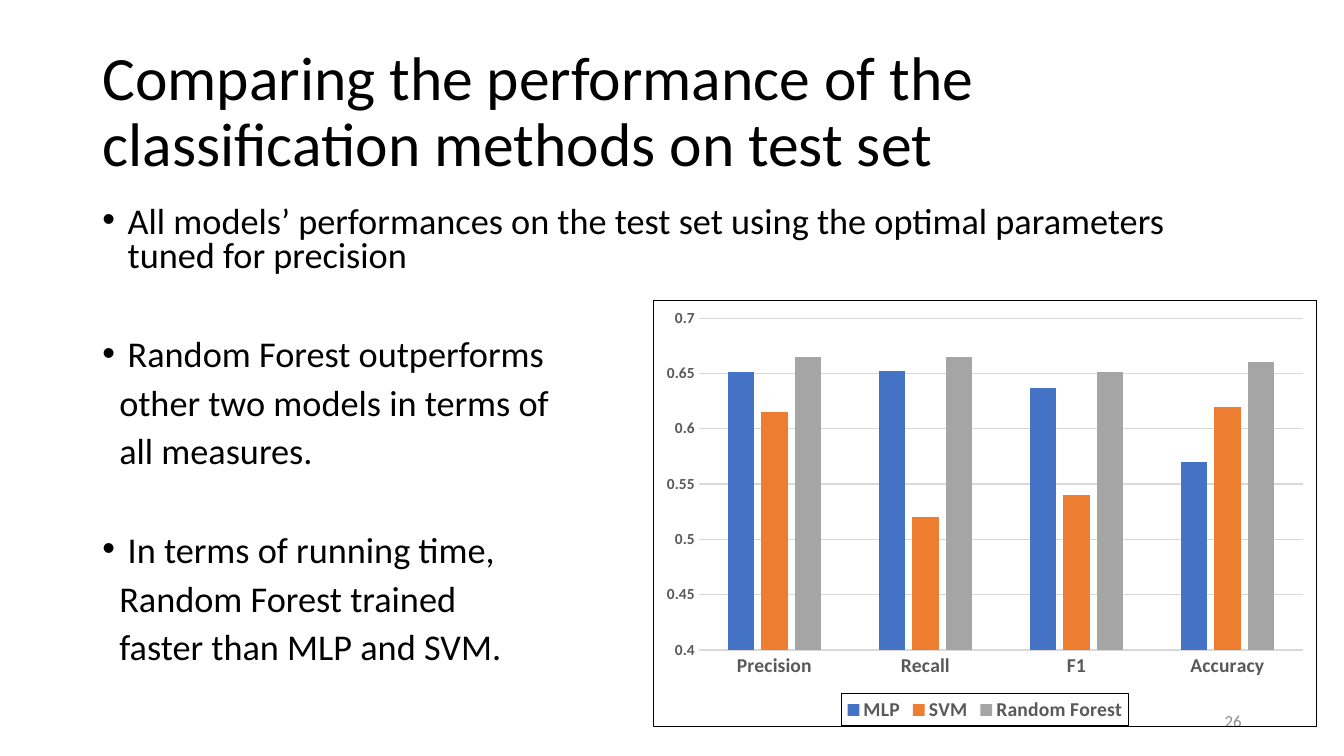
from lxml import etree
from pptx import Presentation
from pptx import util as u
from pptx.chart import data as chart_data
from pptx.dml import color
from pptx.enum import chart as charts, text
from pptx.oxml import ns, parse_xml

COLORS = {"ink": "000000", "muted": "8C8C8C", "label": "595959", "grid": "D9D9D9",
          "MLP": "4472C4", "SVM": "ED7D31", "Random Forest": "A5A5A5"}
FONT = "Calibri"
CATEGORIES = ["Precision", "Recall", "F1", "Accuracy"]
SCORES = {"MLP": [0.651, 0.652, 0.637, 0.57],
          "SVM": [0.615, 0.52, 0.54, 0.62],
          "Random Forest": [0.665, 0.665, 0.651, 0.66]}
TITLE = "Comparing the performance of the classification methods on test set"
POINTS = [
    ["All models’ performances on the test set using the optimal parameters tuned for precision"],
    ["Random Forest outperforms", "other two models in terms of", "all measures."],
    ["In terms of running time,", "Random Forest trained", "faster than MLP and SVM."],
]


def rgb(name):
    return color.RGBColor.from_string(COLORS[name])


def apply(target, values):
    for name, value in values.items():
        setattr(target, name, value)


class SlideBuilder:
    def __init__(self, page):
        self.page = page

    def style_font(self, font, size, tone, bold=False):
        apply(font, {"name": FONT, "size": u.Pt(size), "bold": bold})
        font.color.rgb = rgb(tone)

    def place(self, box, left, top, width, height):
        apply(box, {"left": u.Pt(left), "top": u.Pt(top),
                    "width": u.Pt(width), "height": u.Pt(height)})
        apply(box.text_frame, {"word_wrap": True, "auto_size": text.MSO_AUTO_SIZE.NONE})

    def add_words(self, para, words, size, tone="ink", **layout):
        span = para.add_run()
        span.text = words
        self.style_font(span.font, size, tone)
        apply(para, layout)

    def title(self, words, *area):
        box = self.page.shapes.title
        self.place(box, *area)
        box.text_frame.vertical_anchor = text.MSO_ANCHOR.MIDDLE
        self.add_words(box.text_frame.paragraphs[0], words, 44,
                       alignment=text.PP_ALIGN.LEFT, line_spacing=0.9)

    def bullets(self, points, *area):
        """Each point is a bulleted line followed by unbulleted, indented lines."""
        box = self.page.placeholders[1]
        self.place(box, *area)
        frame = box.text_frame
        for number, lines in enumerate(points):
            for row, words in enumerate(lines):
                first = number == 0 and row == 0
                para = frame.paragraphs[0] if first else frame.add_paragraph()
                gap = 45.3 if number and row == 0 else 10
                self.add_words(para, words, 25.9, line_spacing=0.8, space_before=u.Pt(gap))
                self.indent(para, bulleted=row == 0)

    def indent(self, para, bulleted):
        margin, hanging = (18, -18) if bulleted else (12, 0)
        props = para._p.get_or_add_pPr()
        props.set("marL", str(u.Pt(margin)))
        props.set("indent", str(u.Pt(hanging)))
        if bulleted:
            etree.SubElement(props, ns.qn("a:buFont")).set("typeface", "Arial")
            etree.SubElement(props, ns.qn("a:buChar")).set("char", "•")
        else:
            etree.SubElement(props, ns.qn("a:buNone"))

    def page_number(self, words, *area):
        box = self.page.shapes.add_textbox(*map(u.Pt, area))
        self.place(box, *area)
        box.text_frame.vertical_anchor = text.MSO_ANCHOR.MIDDLE
        self.add_words(box.text_frame.paragraphs[0], words, 12, "muted",
                       alignment=text.PP_ALIGN.RIGHT)

    def outline_after(self, element):
        """Give a chart part an unfilled frame, placed after the given child."""
        element.addnext(parse_xml(
            f'<c:spPr {ns.nsdecls("c", "a")}><a:noFill/><a:ln w="{u.Pt(0.75)}"><a:solidFill>'
            f'<a:srgbClr val="{COLORS["ink"]}"/></a:solidFill></a:ln></c:spPr>'))

    def column_chart(self, categories, scores, *area):
        data = chart_data.CategoryChartData()
        data.categories = categories
        for name, values in scores.items():
            data.add_series(name, values)
        chart = self.page.shapes.add_chart(
            charts.XL_CHART_TYPE.COLUMN_CLUSTERED, *map(u.Pt, area), data).chart
        self.style_font(chart.font, 10, "ink")
        apply(chart, {"has_title": False, "has_legend": True})
        plot = chart.plots[0]
        apply(plot, {"gap_width": 219, "overlap": -27, "vary_by_categories": False})
        for series in plot.series:
            series.format.fill.solid()
            series.format.fill.fore_color.rgb = rgb(series.name)
        self.axes(chart)
        legend = chart.legend
        apply(legend, {"position": charts.XL_LEGEND_POSITION.BOTTOM, "include_in_layout": False})
        self.style_font(legend.font, 14, "label", bold=True)
        self.outline_after(legend._element.find(ns.qn("c:overlay")))
        self.outline_after(chart._chartSpace.find(ns.qn("c:chart")))

    def axes(self, chart):
        scale = chart.value_axis
        apply(scale, {"minimum_scale": 0.4, "maximum_scale": 0.7, "major_unit": 0.05,
                      "has_major_gridlines": True})
        apply(scale.tick_labels, {"number_format": "General", "number_format_is_linked": False})
        scale.format.line.fill.background()
        for axis, size in ((chart.category_axis, 14), (scale, 11)):
            apply(axis, {"major_tick_mark": charts.XL_TICK_MARK.NONE,
                         "minor_tick_mark": charts.XL_TICK_MARK.NONE})
            self.style_font(axis.tick_labels.font, size, "label", bold=True)
        for line in (chart.category_axis.format.line, scale.major_gridlines.format.line):
            line.width = u.Pt(0.75)
            line.color.rgb = rgb("grid")


def main():
    deck = Presentation()
    apply(deck, {"slide_width": u.Pt(960), "slide_height": u.Pt(540)})
    builder = SlideBuilder(deck.slides.add_slide(deck.slide_layouts[1]))
    builder.title(TITLE, 66, 28.75, 828, 104.4)
    builder.bullets(POINTS, 66, 143.75, 828, 342.6)
    builder.page_number("26", 678, 500.5, 216, 28.75)
    builder.column_chart(CATEGORIES, SCORES, 466.5, 214, 474, 305)
    deck.save("out.pptx")


if __name__ == "__main__":
    main()
